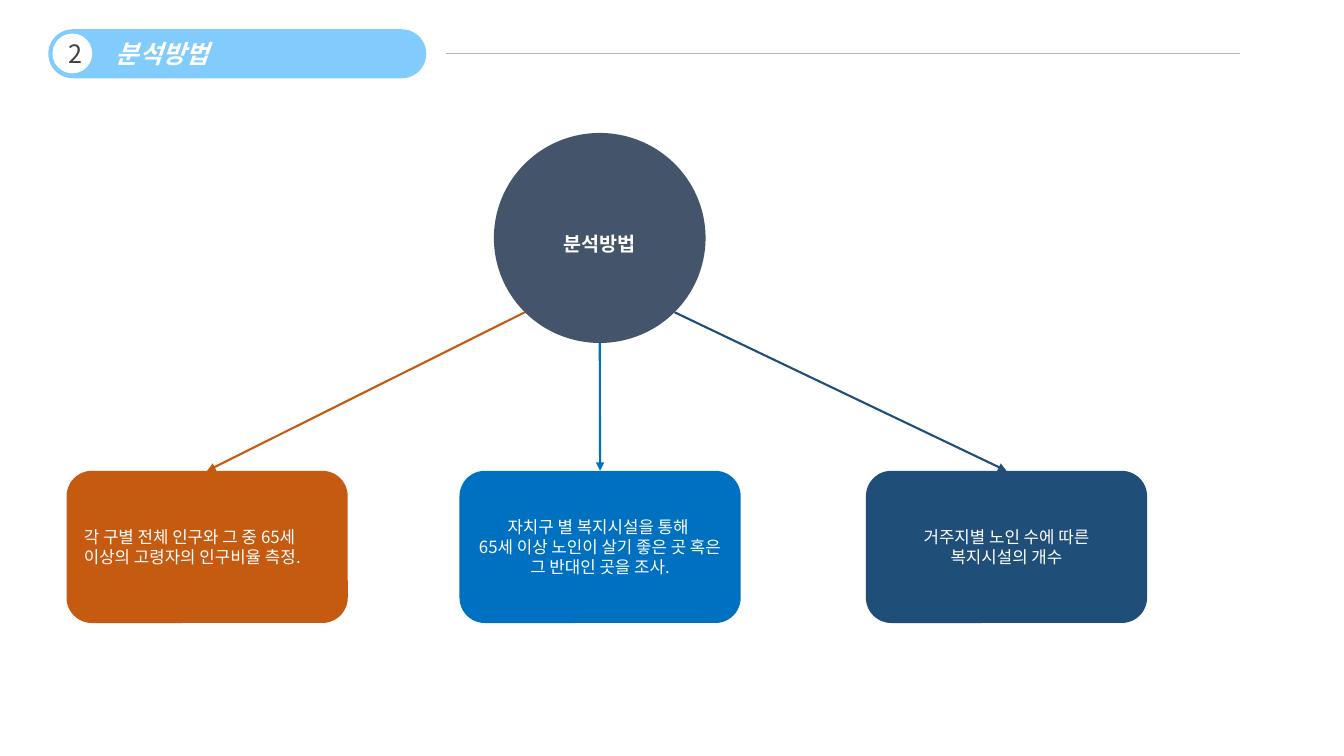
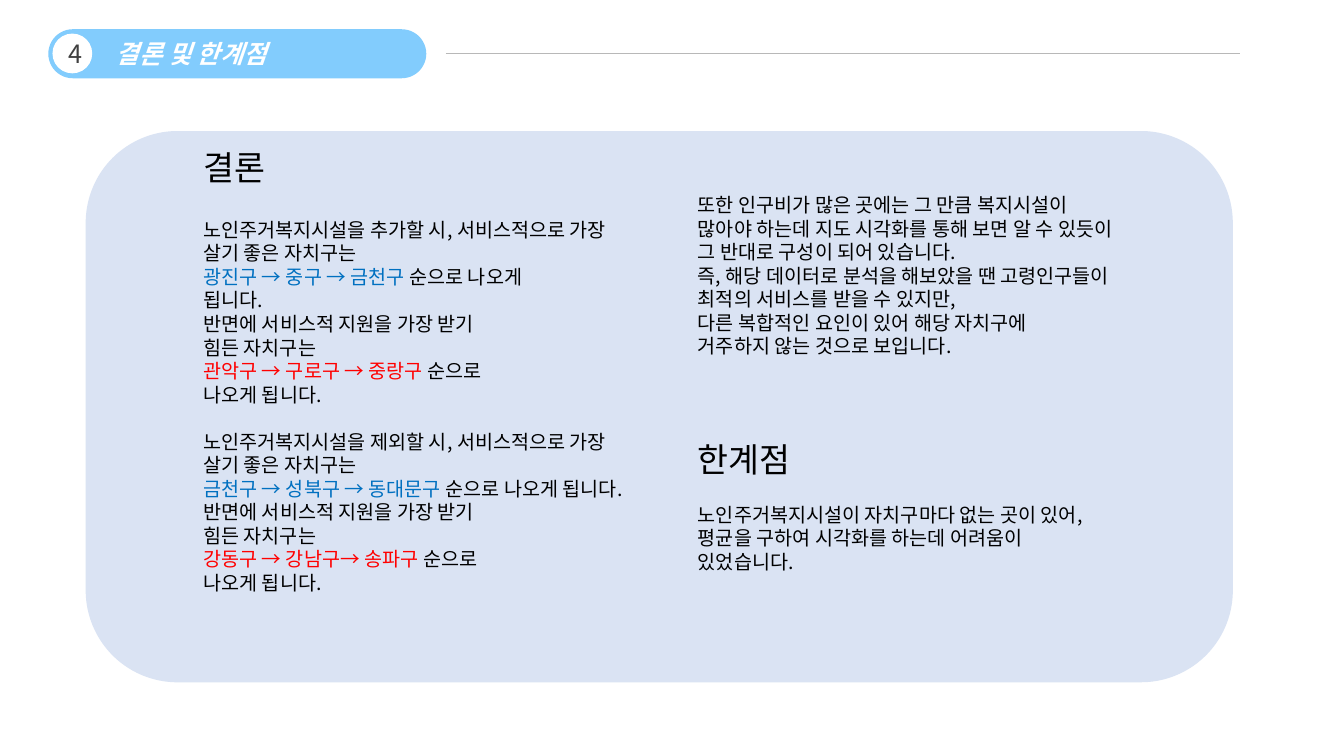
from math import sqrt

from pptx import Presentation
from pptx.dml.color import RGBColor
from pptx.enum import shapes, text
from pptx.oxml import parse_xml
from pptx.oxml.ns import nsdecls
from pptx.util import Pt

FONT = "Noto Sans CJK KR"
SKY = RGBColor(0x82, 0xCC, 0xFD)
RULE = RGBColor(0xB8, 0xB8, 0xB8)
SLATE = RGBColor(0x44, 0x54, 0x6A)
ORANGE = RGBColor(0xC5, 0x5A, 0x11)
BLUE = RGBColor(0x00, 0x70, 0xC0)
NAVY = RGBColor(0x1F, 0x4E, 0x79)
PALE = RGBColor(0xDA, 0xE3, 0xF3)
RED = RGBColor(0xFF, 0x00, 0x00)
DARK = RGBColor(0x40, 0x40, 0x40)
WHITE = RGBColor(0xFF, 0xFF, 0xFF)
BLACK = RGBColor(0x00, 0x00, 0x00)

ROUNDED = shapes.MSO_SHAPE.ROUNDED_RECTANGLE
OVAL = shapes.MSO_SHAPE.OVAL
LEFT, CENTER = text.PP_ALIGN.LEFT, text.PP_ALIGN.CENTER


class Deck:
    def __init__(self):
        self.prs = Presentation()
        self.prs.slide_width, self.prs.slide_height = Pt(960), Pt(540)
        self.slide = None

    def new_slide(self, number, title):
        """Add a slide with its numbered title pill and rule."""
        self.slide = self.prs.slides.add_slide(self.prs.slide_layouts[6])
        pill = self.shape(ROUNDED, 34.5, 20.9, 270, 35, SKY)
        pill.adjustments[0] = 0.5
        pill.text_frame.margin_left = Pt(43.2)
        self.paragraph(pill, [(title, WHITE)], 18, bold=True, italic=True)
        badge = self.shape(OVAL, 37.5, 24, 28.4, 28.4, WHITE)
        self.paragraph(badge, [(number, DARK)], 18, CENTER)
        self.line((318.5, 38.2), (885.6, 38.2), RULE, 0.5)

    def shape(self, kind, left, top, width, height, fill):
        shape = self.slide.shapes.add_shape(
            kind, Pt(left), Pt(top), Pt(width), Pt(height))
        shape.shadow.inherit = False
        shape.fill.solid()
        shape.fill.fore_color.rgb = fill
        shape.line.fill.background()
        shape.text_frame.vertical_anchor = text.MSO_ANCHOR.MIDDLE
        return shape

    def text_box(self, left, top, width, height):
        box = self.slide.shapes.add_textbox(
            Pt(left), Pt(top), Pt(width), Pt(height))
        box.text_frame.word_wrap = True
        return box

    def paragraph(self, holder, runs, size, align=LEFT, before=0,
                  bold=False, italic=False):
        """Append a paragraph of (words, colour) runs, reusing an empty first one."""
        frame = holder.text_frame
        first = frame.paragraphs[0]
        para = frame.add_paragraph() if first.runs else first
        para.alignment = align
        para.space_before = Pt(before)
        for words, color in runs:
            run = para.add_run()
            run.text = words
            font = run.font
            font.name, font.size = FONT, Pt(size)
            font.bold, font.italic = bold, italic
            font.color.rgb = color
            font._element.append(parse_xml(
                f'<a:ea {nsdecls("a")} typeface="{FONT}"/>'))
        return para

    def line(self, start, end, color, width, arrow=False):
        line = self.slide.shapes.add_connector(
            shapes.MSO_CONNECTOR.STRAIGHT, *map(Pt, start + end))
        line.line.color.rgb = color
        line.line.width = Pt(width)
        if arrow:
            line.line._get_or_add_ln().append(parse_xml(
                f'<a:tailEnd {nsdecls("a")} type="triangle"/>'))
        line._element.spPr.append(parse_xml(f'<a:effectLst {nsdecls("a")}/>'))
        return line


def method_slide(deck):
    deck.new_slide("2", "분석방법")
    left, top, width, height = 352.8, 95, 151.2, 150
    topic = deck.shape(OVAL, left, top, width, height, SLATE)
    deck.paragraph(topic, [("분석방법", WHITE)], 14, CENTER,
                   bold=True).line_spacing = 1.5

    center_x, center_y = left + width / 2, top + height / 2
    dx, dy = width / 2 / sqrt(2), height / 2 / sqrt(2)
    steps = [
        (47.5, ORANGE, LEFT, (center_x - dx, center_y + dy),
         ["각 구별 전체 인구와 그 중 65세 이상의 고령자의 인구비율 측정."]),
        (328.2, BLUE, CENTER, (center_x, top + height),
         ["자치구 별 복지시설을 통해 ",
          "65세 이상 노인이 살기 좋은 곳 혹은 그 반대인 곳을 조사."]),
        (618.5, NAVY, CENTER, (center_x + dx, center_y + dy),
         ["거주지별 노인 수에 따른", "복지시설의 개수"]),
    ]
    for card_left, color, align, start, lines in steps:
        card = deck.shape(ROUNDED, card_left, 336.3, 200.9, 108.7, color)
        for words in lines:
            deck.paragraph(card, [(words, WHITE)], 12, align)
        arrow = deck.line(start, (card_left + 100.45, 336.3), color, 1.5, arrow=True)
        arrow.end_connect(card, 0)


def conclusion_slide(deck):
    deck.new_slide("4", "결론 및 한계점")
    deck.shape(ROUNDED, 61.2, 93.6, 819.4, 393.8, PALE)

    conclusion = deck.text_box(138.2, 101.5, 310.7, 350)
    deck.paragraph(conclusion, [("결론", BLACK)], 24)
    findings = [
        (21.7, "추가할", "광진구 → 중구 → 금천구 ", ["순으로 나오게", "됩니다."],
         "관악구 → 구로구 → 중랑구 "),
        (16.9, "제외할", "금천구 → 성북구 → 동대문구 ", ["순으로 나오게 됩니다."],
         "강동구 → 강남구→ 송파구 "),
    ]
    for before, case, best, best_ending, worst in findings:
        opening = f"노인주거복지시설을 {case} 시, 서비스적으로 가장 살기 좋은 자치구는"
        deck.paragraph(conclusion, [(opening, BLACK)], 14, before=before)
        ending, *rest = best_ending
        deck.paragraph(conclusion, [(best, BLUE), (ending, BLACK)], 14)
        for words in rest + ["반면에 서비스적 지원을 가장 받기", "힘든 자치구는"]:
            deck.paragraph(conclusion, [(words, BLACK)], 14)
        deck.paragraph(conclusion, [(worst, RED), ("순으로", BLACK)], 14)
        deck.paragraph(conclusion, [("나오게 됩니다.", BLACK)], 14)

    limits = deck.text_box(491.4, 134.3, 310.7, 290)
    for words in [
        "또한 인구비가 많은 곳에는 그 만큼 복지시설이",
        "많아야 하는데 지도 시각화를 통해 보면 알 수 있듯이 그 반대로 구성이 되어 있습니다.",
        "즉, 해당 데이터로 분석을 해보았을 땐 고령인구들이 최적의 서비스를 받을 수 있지만,",
        "다른 복합적인 요인이 있어 해당 자치구에",
        "거주하지 않는 것으로 보입니다.",
    ]:
        deck.paragraph(limits, [(words, BLACK)], 14)
    deck.paragraph(limits, [("한계점", BLACK)], 24, before=57.8)
    deck.paragraph(limits, [(
        "노인주거복지시설이 자치구마다 없는 곳이 있어, "
        "평균을 구하여 시각화를 하는데 어려움이 있었습니다.", BLACK)], 14, before=16.9)


def main():
    deck = Deck()
    method_slide(deck)
    conclusion_slide(deck)
    deck.prs.save("out.pptx")


if __name__ == "__main__":
    main()
